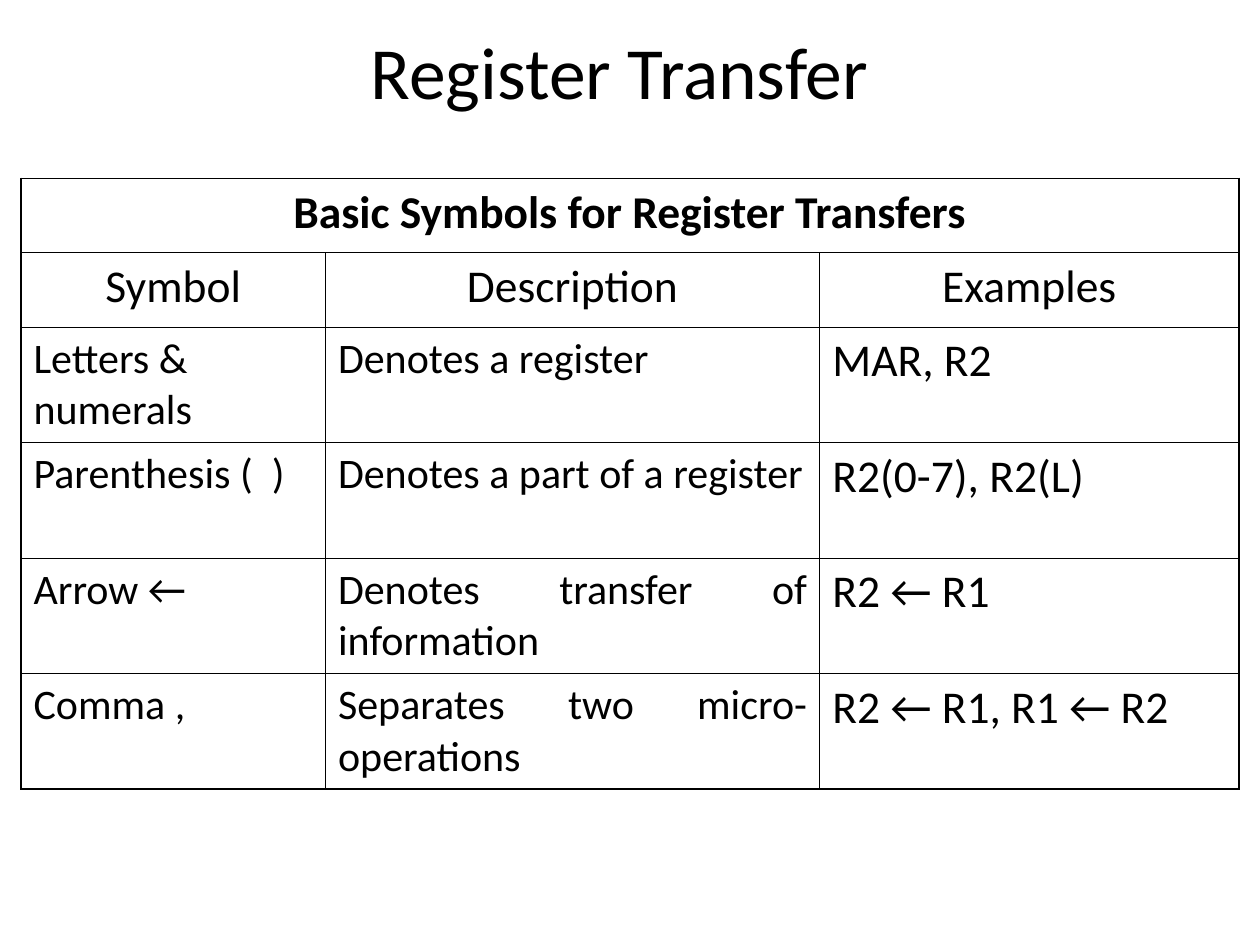
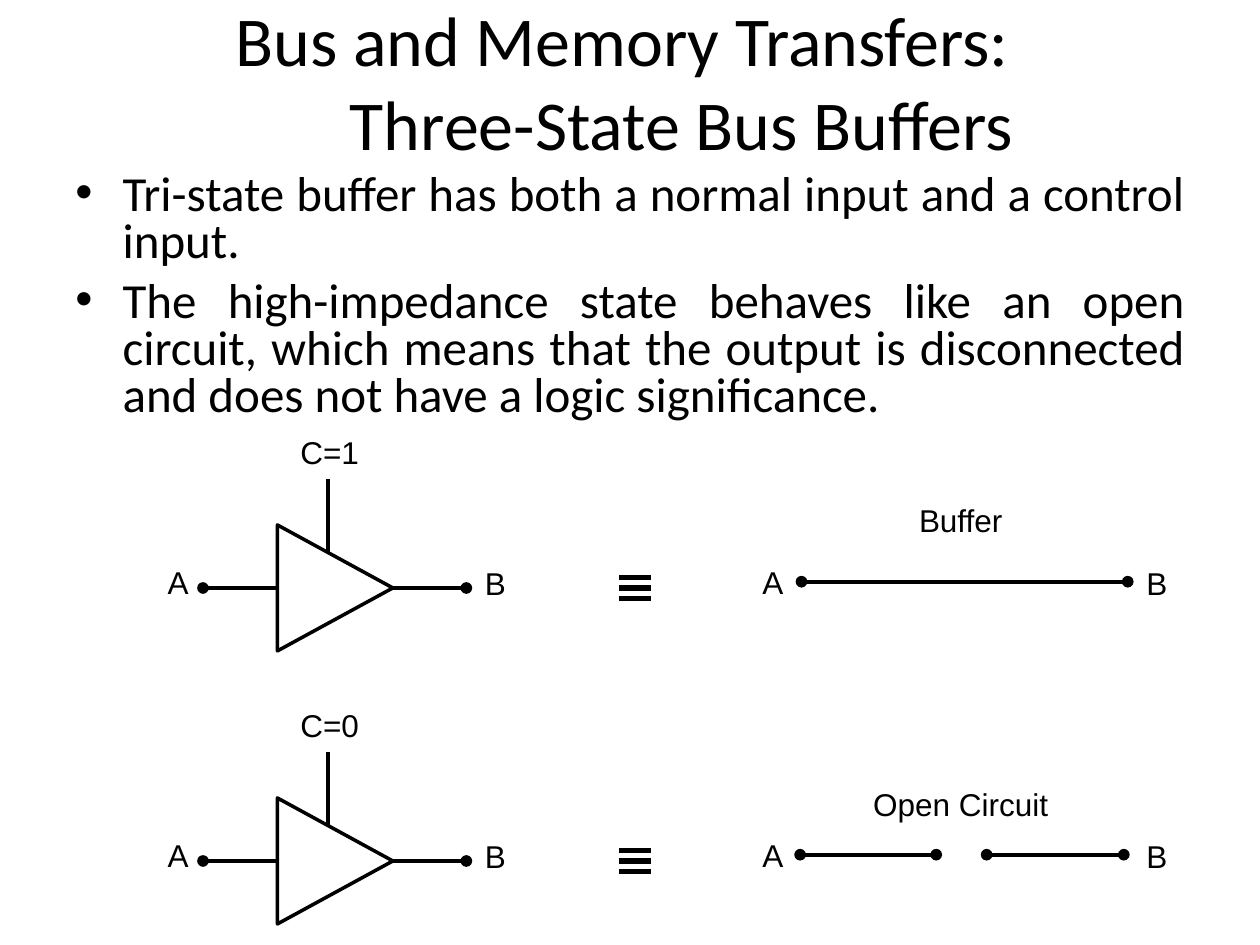
import pptx
import pptx.util
import pptx.dml.color
import pptx.enum.text
import pptx.enum.shapes
import pptx.oxml.ns
import lxml.etree

Pt = pptx.util.Pt
ALIGN = pptx.enum.text.PP_ALIGN
ANCHOR = pptx.enum.text.MSO_ANCHOR
SHAPE = pptx.enum.shapes.MSO_SHAPE
qn = pptx.oxml.ns.qn

BLACK = pptx.dml.color.RGBColor(0x00, 0x00, 0x00)
WHITE = pptx.dml.color.RGBColor(0xFF, 0xFF, 0xFF)
TEXT_FONT = "Calibri"
LABEL_FONT = "Arial"

TABLE_TITLE = "Basic Symbols for Register Transfers"
TABLE_HEADINGS = ("Symbol", "Description", "Examples")
SYMBOLS = [
    ("Letters & numerals", "Denotes a register", "MAR, R2"),
    ("Parenthesis (  )", "Denotes a part of a register", "R2(0-7), R2(L)"),
    ("Arrow ←", "Denotes transfer of information", "R2 ← R1"),
    ("Comma ,", "Separates two micro-operations", "R2 ← R1, R1 ← R2"),
]
COLUMN_WIDTHS = (174, 282.5, 239.5)
COLUMN_STYLES = ((24, ALIGN.LEFT), (24, ALIGN.JUSTIFY), (26, ALIGN.LEFT))
HEADING_HEIGHT, SYMBOL_HEIGHT = 42.5, 66
THIN, THICK = 0.45, 1.08

BULLETS = [
    "Tri-state buffer has both a normal input and a control input.",
    "The high-impedance state behaves like an open circuit, which means that "
    "the output is disconnected and does not have a logic significance.",
]
CIRCUITS = [
    {"control": "C=1", "name": "Buffer", "name_rise": 53, "wires": [(458, 644.4)]},
    {"control": "C=0", "name": "Open Circuit", "name_rise": 47,
     "wires": [(457.2, 535), (563.8, 642.2)]},
]
FIRST_AXIS, AXIS_PITCH = 336, 156


def style_paragraph(para, text, size, font=TEXT_FONT, align=ALIGN.CENTER, bold=False):
    para.text = text
    para.alignment = align
    for span in para.runs:
        span.font.size = Pt(size)
        span.font.name = font
        span.font.bold = bold
        span.font.color.rgb = BLACK


def set_indent(para, points):
    properties = para._p.get_or_add_pPr()
    properties.set("marL", str(Pt(points)))
    properties.set("indent", str(-Pt(points)))
    return properties


def add_box(page, left, top, width, height, anchor=ANCHOR.TOP):
    box = page.shapes.add_textbox(Pt(left), Pt(top), Pt(width), Pt(height))
    box.text_frame.word_wrap = True
    box.text_frame.vertical_anchor = anchor
    return box.text_frame


def add_title(page, text, size, left, height):
    para = add_box(page, left, 6, 648, height, ANCHOR.MIDDLE).paragraphs[0]
    style_paragraph(para, text, size)
    return para


def add_label(page, text, left, top, width):
    para = add_box(page, left, top, width, 29).paragraphs[0]
    style_paragraph(para, text, 18, LABEL_FONT)


def add_line(page, x1, y1, x2, y2, width=2.25, dots=()):
    line = page.shapes.add_connector(
        pptx.enum.shapes.MSO_CONNECTOR.STRAIGHT, Pt(x1), Pt(y1), Pt(x2), Pt(y2))
    line.line.color.rgb = BLACK
    line.line.width = Pt(width)
    outline = line.line._get_or_add_ln()
    for end in dots:
        lxml.etree.SubElement(outline, qn("a:" + end), type="oval")
    lxml.etree.SubElement(line._element.spPr, qn("a:effectLst"))


def add_border(cell, side, width):
    border = lxml.etree.SubElement(
        cell._tc.get_or_add_tcPr(), qn("a:" + side), w=str(Pt(width)))
    fill = lxml.etree.SubElement(border, qn("a:solidFill"))
    lxml.etree.SubElement(fill, qn("a:srgbClr"), val=str(BLACK))


def add_symbol_table(page):
    rows = [(TABLE_TITLE, "", ""), TABLE_HEADINGS] + SYMBOLS
    heights = [HEADING_HEIGHT] * 2 + [SYMBOL_HEIGHT] * len(SYMBOLS)
    table = page.shapes.add_table(
        len(rows), len(COLUMN_WIDTHS), Pt(12), Pt(102),
        Pt(sum(COLUMN_WIDTHS)), Pt(sum(heights))).table
    table.first_row = table.horz_banding = False
    for column, width in zip(table.columns, COLUMN_WIDTHS):
        column.width = Pt(width)
    for row, height in zip(table.rows, heights):
        row.height = Pt(height)
    table.cell(0, 0).merge(table.cell(0, len(COLUMN_WIDTHS) - 1))

    for r, texts in enumerate(rows):
        for c, text in enumerate(texts):
            cell = table.cell(r, c)
            size, align = COLUMN_STYLES[c] if r > 1 else (26, ALIGN.CENTER)
            if text:
                style_paragraph(cell.text_frame.paragraphs[0], text, size,
                                align=align, bold=r == 0)
            outer_sides = {
                "lnL": c == 0,
                "lnR": c + cell.span_width == len(texts),
                "lnT": r == 0,
                "lnB": r == len(rows) - 1,
            }
            for side, outer in outer_sides.items():
                add_border(cell, side, THICK if outer else THIN)
            cell.fill.background()


def add_bullets(page):
    frame = add_box(page, 36, 96, 648, 144)
    for index, text in enumerate(BULLETS):
        para = frame.add_paragraph() if index else frame.paragraphs[0]
        style_paragraph(para, text, 28, align=ALIGN.JUSTIFY)
        para.line_spacing = 0.8
        para.space_before = Pt(7)
        properties = set_indent(para, 27)
        lxml.etree.SubElement(properties, qn("a:buFont"), typeface=LABEL_FONT)
        lxml.etree.SubElement(properties, qn("a:buChar"), char="•")


def add_circuit(page, circuit, axis):
    gate = page.shapes.add_shape(
        SHAPE.ISOSCELES_TRIANGLE, Pt(155.5), Pt(axis - 33), Pt(72), Pt(66))
    gate.rotation = 90
    gate.shadow.inherit = False
    gate.fill.solid()
    gate.fill.fore_color.rgb = WHITE
    gate.line.color.rgb = BLACK
    gate.line.width = Pt(2)

    add_line(page, 224, axis, 266.5, axis, dots=["tailEnd"])
    add_line(page, 116, axis, 158.5, axis, dots=["headEnd"])
    add_line(page, 187.2, axis - 20.6, 187.2, axis - 62.5)
    add_label(page, circuit["control"], 104.4, axis - 92, 168)
    for offset in (-6, 0, 6):
        add_line(page, 354, axis + offset, 372, axis + offset, 3)

    for start, end in circuit["wires"]:
        add_line(page, start, axis - 3.6, end, axis - 3.6, dots=["headEnd", "tailEnd"])
    add_label(page, circuit["name"], 486, axis - circuit["name_rise"], 126)
    for input_left, output_left in ((77.8, 265.7), (417.6, 643.7)):
        add_label(page, "A", input_left, axis - 18, 48)
        add_label(page, "B", output_left, axis - 17, 34.6)


def main():
    deck = pptx.Presentation()
    deck.slide_width, deck.slide_height = Pt(720), Pt(540)
    blank = deck.slide_layouts[6]

    page = deck.slides.add_slide(blank)
    add_symbol_table(page)
    add_title(page, "Register Transfer", 42, 30, 68)

    page = deck.slides.add_slide(blank)
    title = add_title(
        page, "Bus and Memory Transfers: \nThree-State Bus Buffers", 40, 36, 80.5)
    set_indent(title, 59)
    for index, circuit in enumerate(CIRCUITS):
        add_circuit(page, circuit, FIRST_AXIS + index * AXIS_PITCH)
    add_bullets(page)

    deck.save("out.pptx")


if __name__ == "__main__":
    main()
